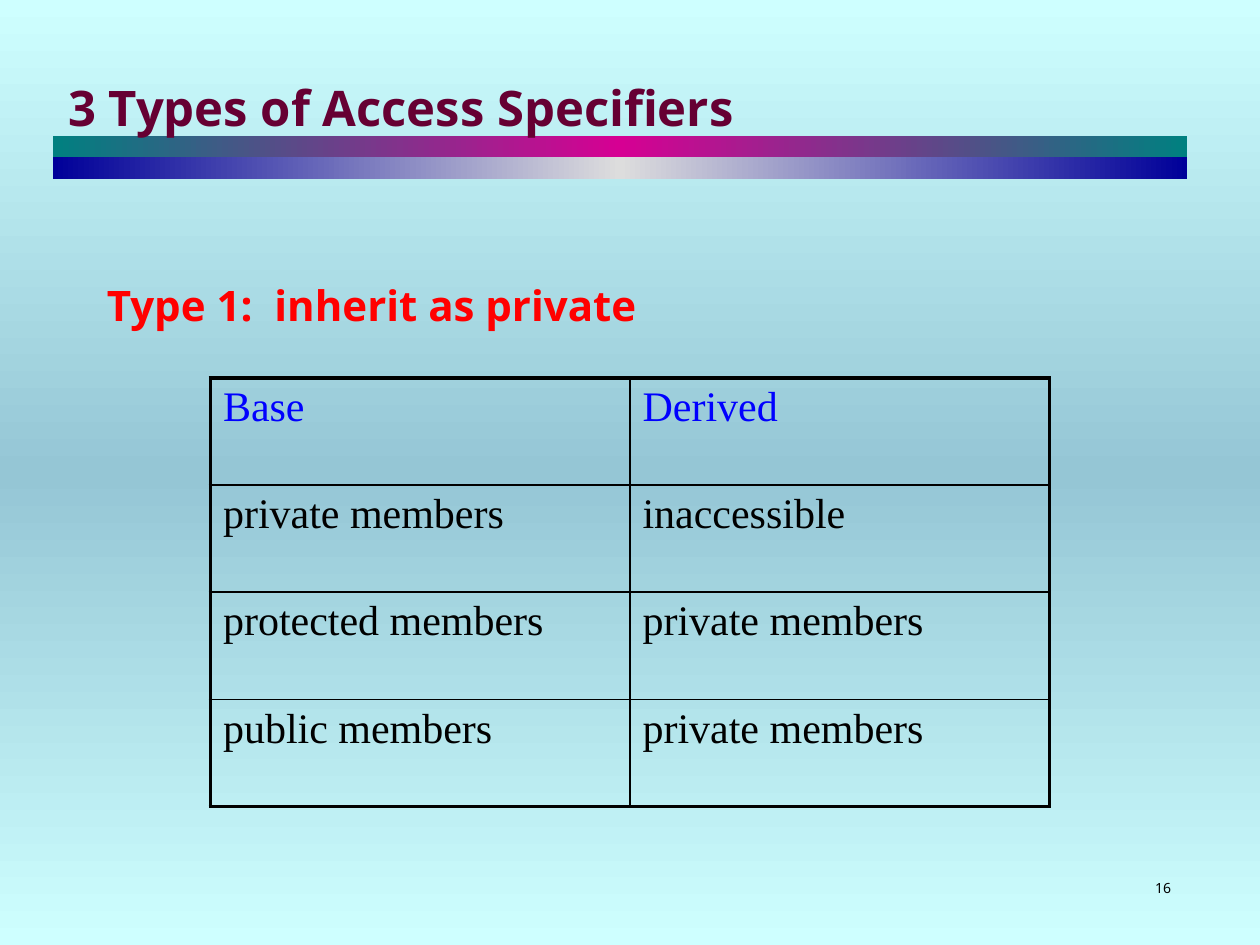
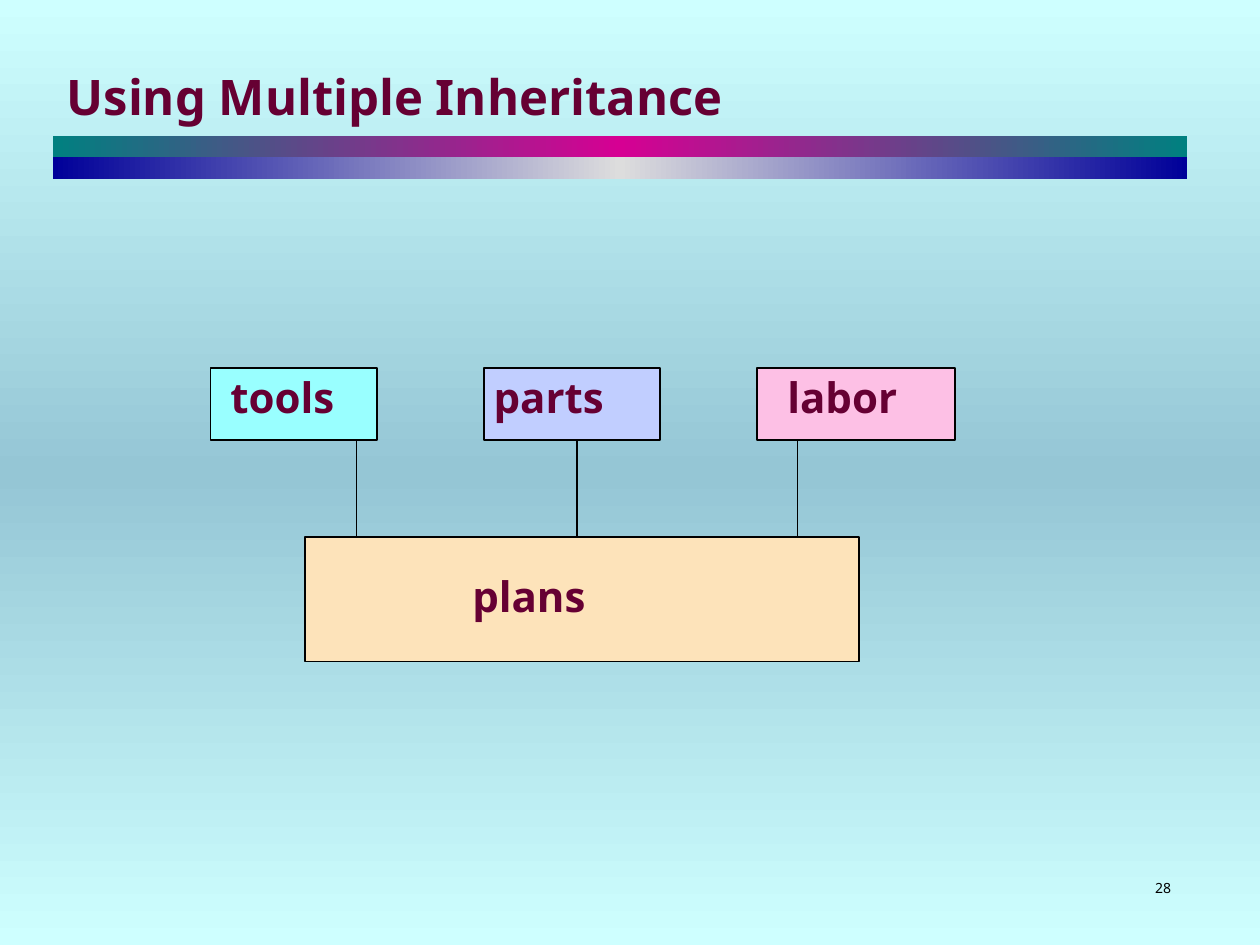
"""Build two slides on access specifiers and multiple inheritance."""
import copy
from dataclasses import dataclass

import pptx
import pptx.dml.color
import pptx.dml.fill
import pptx.enum.shapes
import pptx.enum.text
import pptx.oxml
import pptx.oxml.ns
import pptx.presentation
import pptx.slide
import pptx.table
import pptx.text.text
import pptx.util
from lxml import etree

EMU_PER_PX = 9144
SANS = "Noto Sans"
SERIF = "Times New Roman"
BLACK, PLUM, RED, BLUE = "000000", "660033", "FF0000", "0000FF"
SKY_EDGE, SKY_CENTRE = "CEFFFF", "95C6D5"
THIN, THICK = 1, 2.25


@dataclass(frozen=True)
class Box:
    left: int
    top: int
    width: int
    height: int

    def emu(self) -> tuple[int, ...]:
        return tuple(px(n) for n in (self.left, self.top, self.width, self.height))


@dataclass(frozen=True)
class Style:
    size: int
    color: str
    font: str = SANS
    bold: bool = False


@dataclass(frozen=True)
class Band:
    box: Box
    edge: str
    centre: str


@dataclass(frozen=True)
class ClassBox:
    name: str
    color: str
    box: Box
    label: Box


PAGE_STYLE = Style(8, BLACK)
TITLE_STYLE = Style(28, PLUM, bold=True)
SUBTITLE_STYLE = Style(24, RED, bold=True)
LABEL_STYLE = Style(24, PLUM, bold=True)
HEADER_STYLE = Style(24, BLUE, SERIF)
CELL_STYLE = Style(24, BLACK, SERIF)

BANDS = (
    Band(Box(42, 108, 900, 17), "008080", "D60093"),
    Band(Box(42, 125, 900, 17), "000099", "DDDDDD"),
)

ACCESS_ROWS = (
    ("Base", "Derived"),
    ("private members", "inaccessible"),
    ("protected members", "private members"),
    ("public members", "private members"),
)

CLASS_BOXES = (
    ClassBox("plans", "FDE3BA", Box(242, 426, 440, 99), Box(365, 448, 114, 50)),
    ClassBox("labor", "FDC0E5", Box(601, 292, 157, 57), Box(615, 290, 109, 50)),
    ClassBox("parts", "C1CEFF", Box(384, 292, 140, 57), Box(382, 290, 110, 50)),
    ClassBox("tools", "99FFFF", Box(167, 292, 132, 57), Box(173, 290, 106, 50)),
)


def px(length: int) -> int:
    return pptx.util.Emu(length * EMU_PER_PX)


def rgb(color: str) -> pptx.dml.color.RGBColor:
    return pptx.dml.color.RGBColor.from_string(color)


def mirror_gradient(
    fill: pptx.dml.fill.FillFormat, element: etree.ElementBase,
    edge: str, centre: str, angle: int,
) -> None:
    fill.gradient()
    fill.gradient_angle = angle
    for stop, color in zip(fill.gradient_stops, (edge, centre)):
        stop.color.rgb = rgb(color)
    stop_list = element.find(".//" + pptx.oxml.ns.qn("a:gsLst"))
    stop_list[1].set("pos", "50000")
    last_stop = copy.deepcopy(stop_list[0])
    last_stop.set("pos", "100000")
    stop_list.append(last_stop)


def write(frame: pptx.text.text.TextFrame, text: str, style: Style) -> pptx.text.text._Paragraph:
    paragraph = frame.paragraphs[0]
    paragraph.alignment = pptx.enum.text.PP_ALIGN.LEFT
    run = paragraph.add_run()
    run.text = text
    run.font.name = style.font
    run.font.size = pptx.util.Pt(style.size)
    run.font.bold = style.bold
    run.font.color.rgb = rgb(style.color)
    return paragraph


def add_label(slide: pptx.slide.Slide, box: Box, text: str, style: Style) -> None:
    frame = slide.shapes.add_textbox(*box.emu()).text_frame
    frame.word_wrap = True
    write(frame, text, style)


def add_band(slide: pptx.slide.Slide, band: Band) -> None:
    shape = slide.shapes.add_shape(
        pptx.enum.shapes.MSO_SHAPE.RECTANGLE, *band.box.emu())
    shape.shadow.inherit = False
    shape.line.fill.background()
    mirror_gradient(shape.fill, shape.element, band.edge, band.centre, 0)


def add_slide(
    presentation: pptx.presentation.Presentation, title: str, title_box: Box, page: str,
) -> pptx.slide.Slide:
    slide = presentation.slides.add_slide(presentation.slide_layouts[5])
    mirror_gradient(slide.background.fill, slide.element, SKY_EDGE, SKY_CENTRE, 90)
    add_label(slide, Box(907, 693, 35, 23), page, PAGE_STYLE)
    for band in BANDS:
        add_band(slide, band)
    heading = slide.shapes.title
    heading.left, heading.top, heading.width, heading.height = title_box.emu()
    frame = heading.text_frame
    frame.auto_size = pptx.enum.text.MSO_AUTO_SIZE.NONE
    frame.vertical_anchor = pptx.enum.text.MSO_ANCHOR.MIDDLE
    write(frame, title, TITLE_STYLE).line_spacing = 0.9
    heading.element.getparent().append(heading.element)
    return slide


def set_borders(cell: pptx.table._Cell, widths: dict[str, float]) -> None:
    properties = cell._tc.get_or_add_tcPr()
    for side, width in widths.items():
        properties.append(pptx.oxml.parse_xml(
            f'<a:ln{side} {pptx.oxml.ns.nsdecls("a")} w="{pptx.util.Pt(width)}">'
            f'<a:solidFill><a:srgbClr val="{BLACK}"/></a:solidFill></a:ln{side}>'))


def add_access_table(slide: pptx.slide.Slide) -> None:
    row_count, column_count = len(ACCESS_ROWS), len(ACCESS_ROWS[0])
    box = Box(167, 300, 333 * column_count, 85 * row_count)
    table = slide.shapes.add_table(row_count, column_count, *box.emu()).table
    table.first_row = table.horz_banding = False
    for row, texts in enumerate(ACCESS_ROWS):
        for column, text in enumerate(texts):
            cell = table.cell(row, column)
            write(cell.text_frame, text, CELL_STYLE if row else HEADER_STYLE)
            outer_sides = {
                "L": column == 0,
                "R": column == column_count - 1,
                "T": row == 0,
                "B": row == row_count - 1,
            }
            set_borders(cell, {side: THICK if outer else THIN
                               for side, outer in outer_sides.items()})
            cell.fill.background()


def add_class_box(slide: pptx.slide.Slide, item: ClassBox) -> None:
    shape = slide.shapes.add_shape(
        pptx.enum.shapes.MSO_SHAPE.RECTANGLE, *item.box.emu())
    shape.shadow.inherit = False
    shape.fill.solid()
    shape.fill.fore_color.rgb = rgb(item.color)
    shape.line.color.rgb = rgb(BLACK)
    shape.line.width = pptx.util.Pt(THIN)


def add_link(slide: pptx.slide.Slide, x: int, top: int, bottom: int) -> None:
    connector = slide.shapes.add_connector(
        pptx.enum.shapes.MSO_CONNECTOR.STRAIGHT, px(x), px(top), px(x), px(bottom))
    connector.line.color.rgb = rgb(BLACK)
    connector.line.width = pptx.util.Pt(THIN)
    etree.SubElement(connector.element.spPr, pptx.oxml.ns.qn("a:effectLst"))


def build_access_slide(presentation: pptx.presentation.Presentation) -> None:
    slide = add_slide(
        presentation, "3 Types of Access Specifiers", Box(44, 25, 906, 125), "16")
    add_label(slide, Box(75, 217, 883, 450), "Type 1:  inherit as private", SUBTITLE_STYLE)
    add_access_table(slide)


def build_inheritance_slide(presentation: pptx.presentation.Presentation) -> None:
    slide = add_slide(
        presentation, "Using Multiple Inheritance", Box(43, 53, 907, 52), "28")
    for item in CLASS_BOXES:
        add_class_box(slide, item)
    for index in range(3):
        add_link(slide, 283 + 175 * index, 350, 425)
    for item in CLASS_BOXES:
        add_label(slide, item.label, item.name, LABEL_STYLE)


def main() -> None:
    presentation = pptx.Presentation()
    presentation.slide_width, presentation.slide_height = px(1000), px(750)
    build_access_slide(presentation)
    build_inheritance_slide(presentation)
    presentation.save("out.pptx")


if __name__ == "__main__":
    main()
